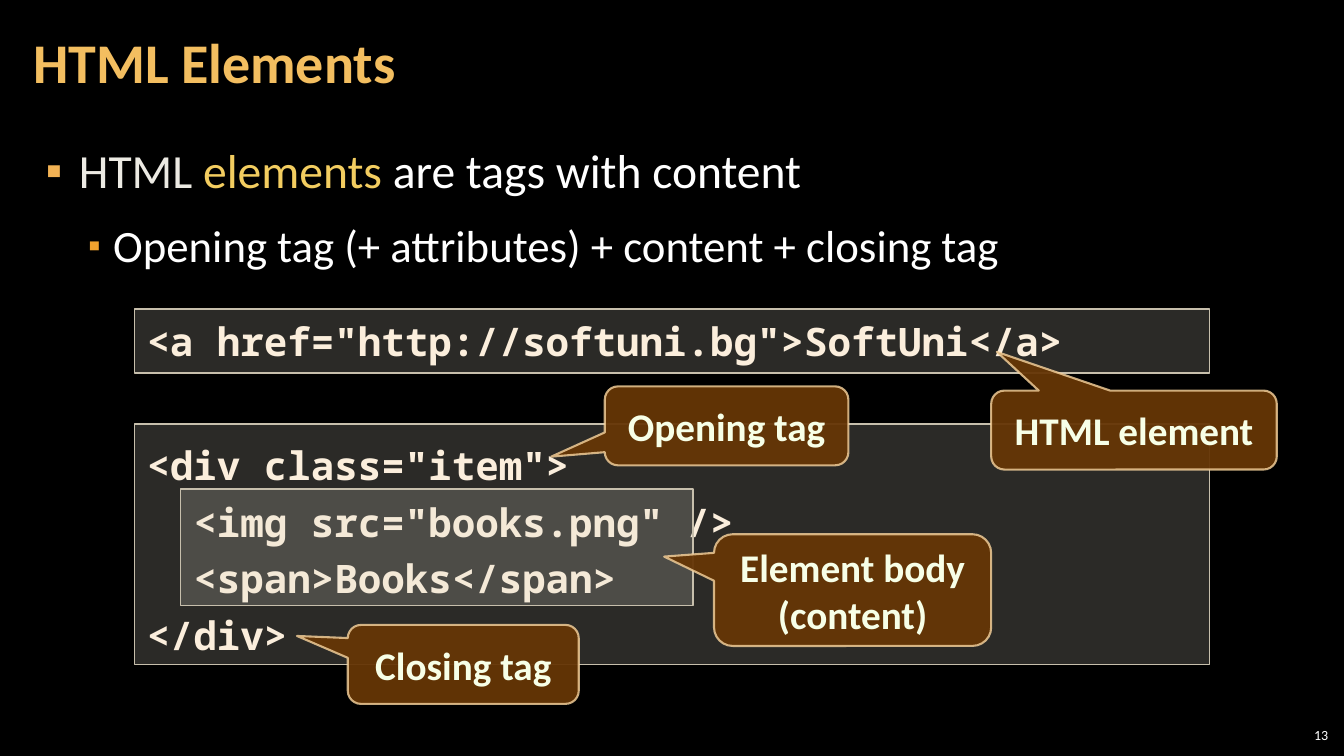
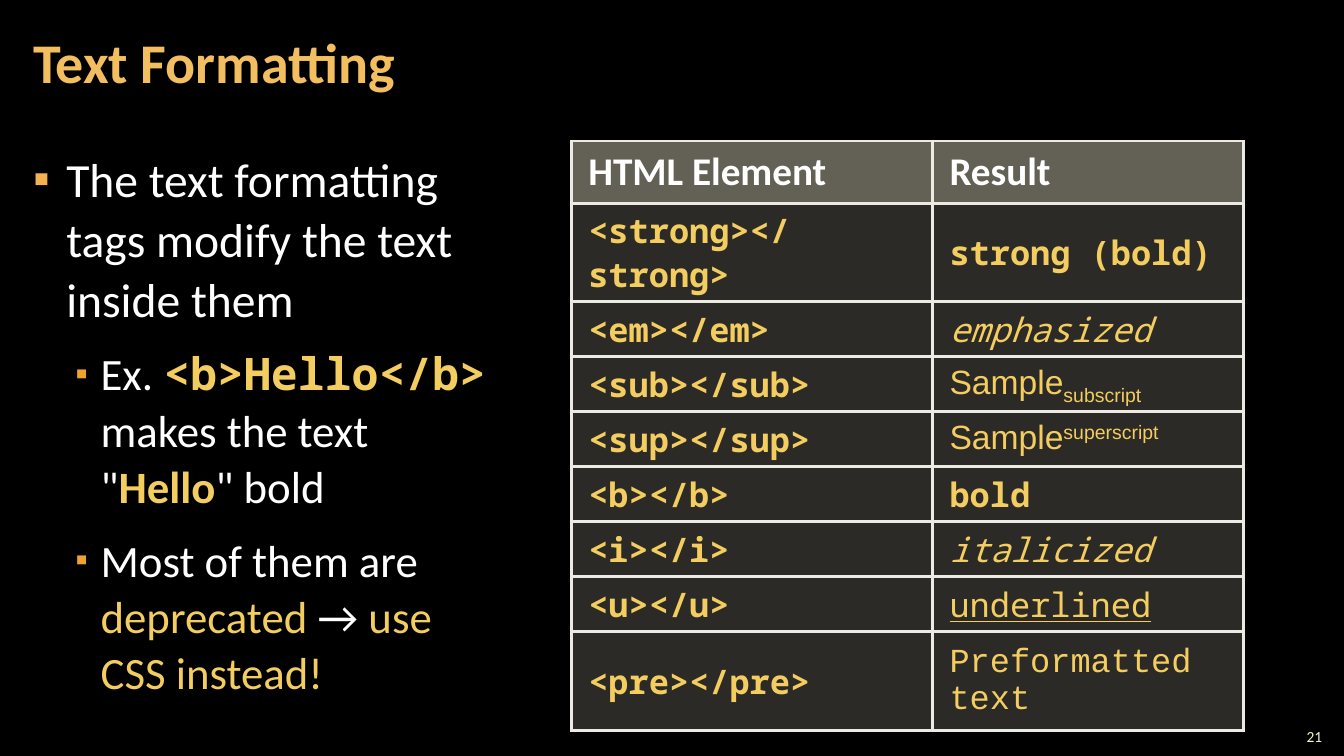
from lxml import etree
from pptx import Presentation
from pptx.dml.color import RGBColor
from pptx.enum.shapes import MSO_SHAPE
from pptx.enum.text import MSO_ANCHOR, PP_ALIGN
from pptx.oxml.ns import qn
from pptx.util import Inches, Pt

RECT = MSO_SHAPE.RECTANGLE
BUBBLE = MSO_SHAPE.ROUNDED_RECTANGULAR_CALLOUT
TOP, MIDDLE = MSO_ANCHOR.TOP, MSO_ANCHOR.MIDDLE
LEFT, CENTER, RIGHT = PP_ALIGN.LEFT, PP_ALIGN.CENTER, PP_ALIGN.RIGHT

# Shared look
HEX = {
    "black": "000000", "white": "FFFFFF", "cream": "ECEAE3",
    "title": "F3BE60", "gold": "F3CD60", "code": "FBEEDC",
    "panel": "D9D5C7", "edge": "C7BFAC", "head": "C6C0AA",
    "brown": "663606", "rim": "F8D49E", "label": "F7FFE7",
    "mark": "F2B254", "submark": "F0A22E", "page": "EBFFC2",
}
SANS, MONO = "Calibri", "Noto Sans Mono"
FORMS = {
    "title": {"name": SANS, "size": Pt(40), "bold": True, "color": "title"},
    "text": {"name": SANS, "size": Pt(34), "color": "white"},
    "subtext": {"name": SANS, "size": Pt(32), "color": "white"},
    "code": {"name": MONO, "size": Pt(28), "bold": True, "color": "code"},
    "label": {"name": SANS, "size": Pt(28), "bold": True, "color": "label"},
    "head": {"name": SANS, "size": Pt(28), "bold": True, "color": "white"},
    "cell": {"name": MONO, "size": Pt(24), "bold": True, "color": "gold"},
    "page": {"name": SANS, "size": Pt(10), "color": "white"},
}
LEVELS = [
    {"form": "text", "left": 0.33, "hang": 0.33, "mark": "mark", "share": 100},
    {"form": "subtext", "left": 0.67, "hang": 0.25, "mark": "submark", "share": 80},
]
GOLD = {"color": "gold"}
PLAIN = {"bold": False}
SLANT = {"bold": False, "italic": True}
ARIAL = {"name": "Arial", "bold": False}

# The slide is a grid of 160 columns by 90 rows
COLS, ROWS = 160, 90
WIDE, HIGH = Inches(13.33), Inches(7.5)


def across(cols):
    return round(WIDE * cols / COLS)


def down(rows):
    return round(HIGH * rows / ROWS)


def place(box):
    x, y, w, h = box
    return across(x), down(y), across(w), down(h)


def paint(fill, color, alpha=100):
    """Solid fill, see-through when alpha is below 100."""
    fill.solid()
    fill.fore_color.rgb = RGBColor.from_string(HEX[color])
    if alpha < 100:
        tone = fill._xPr.find(".//" + qn("a:srgbClr"))
        etree.SubElement(tone, qn("a:alpha"), val=str(alpha * 1000))


def write(par, runs, form):
    """Runs are plain strings or (text, changes to the form)."""
    for run in [runs] if isinstance(runs, str) else runs:
        text, change = (run, {}) if isinstance(run, str) else run
        item = par.add_run()
        item.text = text
        for key, value in {**FORMS[form], **change}.items():
            if key == "color":
                item.font.color.rgb = RGBColor.from_string(HEX[value])
            elif key == "shift":
                item._r.get_or_add_rPr().set("baseline", str(value * 1000))
            else:
                setattr(item.font, key, value)


def frame(shape, pads, anchor=TOP):
    """Set wrap, anchor and margins of a shape's text."""
    text = shape.text_frame
    text.word_wrap = True
    text.vertical_anchor = anchor
    side, edge = map(Inches, pads)
    text.margin_left = text.margin_right = side
    text.margin_top = text.margin_bottom = edge
    return text


def fill_lines(text, lines, form, align=LEFT, space=1.0):
    for i, line in enumerate(lines):
        par = text.add_paragraph() if i else text.paragraphs[0]
        par.alignment, par.line_spacing = align, space
        write(par, line, form)


def start(deck, title, page, change=None, pads=(0.04, 0.04), anchor=MIDDLE):
    """Blank slide with ground, title and page number."""
    slide = deck.slides.add_slide(deck.slide_layouts[6])
    paint(slide.background.fill, "black")
    head = slide.shapes.add_textbox(*place((2.5, 0.5, 125.6, 14.5)))
    fill_lines(frame(head, (0.12, 0.04), MIDDLE), [title], "title", space=0.9)
    foot = slide.shapes.add_textbox(*place((150.6, 86, 8, 3)))
    fill_lines(frame(foot, pads, anchor), [[(page, change or {})]], "page", RIGHT)
    return slide


def bullets(slide, box, items):
    """Items are (level, runs)."""
    text = frame(slide.shapes.add_textbox(*place(box)), (0.12, 0.04))
    for i, (rank, runs) in enumerate(items):
        level = LEVELS[rank]
        par = text.add_paragraph() if i else text.paragraphs[0]
        props = par._p.get_or_add_pPr()
        props.set("marL", str(Inches(level["left"])))
        props.set("indent", str(-Inches(level["hang"])))
        tint = etree.SubElement(props, qn("a:buClr"))
        etree.SubElement(tint, qn("a:srgbClr"), val=HEX[level["mark"]])
        etree.SubElement(props, qn("a:buSzPct"), val=str(level["share"] * 1000))
        etree.SubElement(props, qn("a:buFont"), typeface="Arial")
        etree.SubElement(props, qn("a:buChar"), char="▪")
        par.line_spacing = 1.05
        par.space_before, par.space_after = Pt(6 if i else 0), Pt(6)
        write(par, runs, level["form"])


def block(slide, kind, box, fill, line):
    """Filled outline; fill is (color, alpha), line adds a width."""
    shape = slide.shapes.add_shape(kind, *place(box))
    shape.shadow.inherit = False
    paint(shape.fill, *fill)
    color, alpha, width = line
    paint(shape.line.fill, color, alpha)
    shape.line.width = Pt(width)
    return shape


def panel(slide, box, lines=(), space=1.0):
    shape = block(slide, RECT, box, ("panel", 20), ("edge", 100, 1))
    fill_lines(frame(shape, (0.12, 0.08)), lines, "code", space=space)


def callout(slide, box, tip, label):
    shape = block(slide, BUBBLE, box, ("brown", 95), ("rim", 80, 1.5))
    for i, value in enumerate((*tip, 0.167)):
        shape.adjustments[i] = value
    fill_lines(frame(shape, (0.1, 0.05), MIDDLE), [label], "label", CENTER)


def border(cell):
    props = cell._tc.get_or_add_tcPr()
    for i, side in enumerate(("lnL", "lnR", "lnT", "lnB")):
        line = etree.Element(qn("a:" + side), w=str(Pt(2.25)))
        solid = etree.SubElement(line, qn("a:solidFill"))
        etree.SubElement(solid, qn("a:srgbClr"), val=HEX["cream"])
        props.insert(i, line)


def grid(slide, spot, widths, heights, rows):
    box = (*spot, sum(widths), sum(heights))
    table = slide.shapes.add_table(len(rows), len(widths), *place(box)).table
    table.first_row = table.horz_banding = False
    for col, width in zip(table.columns, widths):
        col.width = across(width)
    for r, (height, row) in enumerate(zip(heights, rows)):
        table.rows[r].height = down(height)
        for c, runs in enumerate(row):
            cell = table.cell(r, c)
            cell.vertical_anchor = MIDDLE
            cell.margin_left = cell.margin_right = Inches(0.17)
            paint(cell.fill, *(("panel", 20) if r else ("head", 50)))
            border(cell)
            fill_lines(cell.text_frame, [runs], "cell" if r else "head", space=0.95)


def main():
    deck = Presentation()
    deck.slide_width, deck.slide_height = WIDE, HIGH

    # Elements
    slide = start(deck, "HTML Elements", "13")
    bullets(slide, (4, 16, 152, 18.7), [
        (0, [("HTML ", {"color": "cream"}), ("elements ", GOLD),
             "are tags with content"]),
        (1, "Opening tag (+ attributes) + content + closing tag"),
    ])
    panel(slide, (16, 36.8, 128, 7.6), ['<a href="http://softuni.bg">SoftUni</a>'])
    panel(slide, (16, 50.5, 128, 28.6), [
        '<div class="item">',
        '  <img src="books.png" />',
        '  <span>Books</span>',
        '</div>',
    ], 1.2)
    panel(slide, (21.5, 58.2, 61, 13.9))
    for box, tip, label in (
        ((118, 46.5, 34, 9.4), (-0.48, -0.99), "HTML element"),
        ((72, 46, 29, 9.4), (-0.72, 0.39), "Opening tag"),
        ((41.4, 74.4, 27.5, 9.4), (-0.72, -0.36), "Closing tag"),
        ((85, 63.6, 33, 13.3), (-0.68, -0.3), "Element body (content)"),
    ):
        callout(slide, box, tip, label)

    # Formatting
    slide = start(deck, "Text Formatting", "21",
                  {"size": Pt(11), "color": "page"}, (0.1, 0.05), TOP)
    bullets(slide, (2.5, 17, 58.4, 68), [
        (0, "The text formatting tags modify the text inside them"),
        (1, ["Ex. ", ("<b>Hello</b>", {"name": MONO, "bold": True, **GOLD}),
             ' makes the text "', ("Hello", {"bold": True, **GOLD}), '" bold']),
        (1, ["Most of them are ", ("deprecated ", GOLD), "→ ",
             ("use CSS instead!", GOLD)]),
    ])
    samples = [
        ("strong", "strong (bold)"),
        ("em", [("emphasized", SLANT)]),
        ("sub", [("Sample", ARIAL), ("subscript", {**ARIAL, "shift": -25})]),
        ("sup", [("Sample", ARIAL), ("superscript", {**ARIAL, "shift": 30})]),
        ("b", "bold"),
        ("i", [("italicized", SLANT)]),
        ("u", [("underlined", {**PLAIN, "underline": True})]),
        ("pre", [("Preformatted text", {**PLAIN, "name": "Courier New"})]),
    ]
    rows = [("HTML Element", "Result")]
    rows += [(f"<{tag}></{tag}>", runs) for tag, runs in samples]
    # Two-line rows at both ends of the samples
    heights = (7.4, 11.7, *[6.55] * 6, 11.8)
    grid(slide, (68, 16.8), (43, 37), heights, rows)

    deck.save("out.pptx")


if __name__ == "__main__":
    main()
